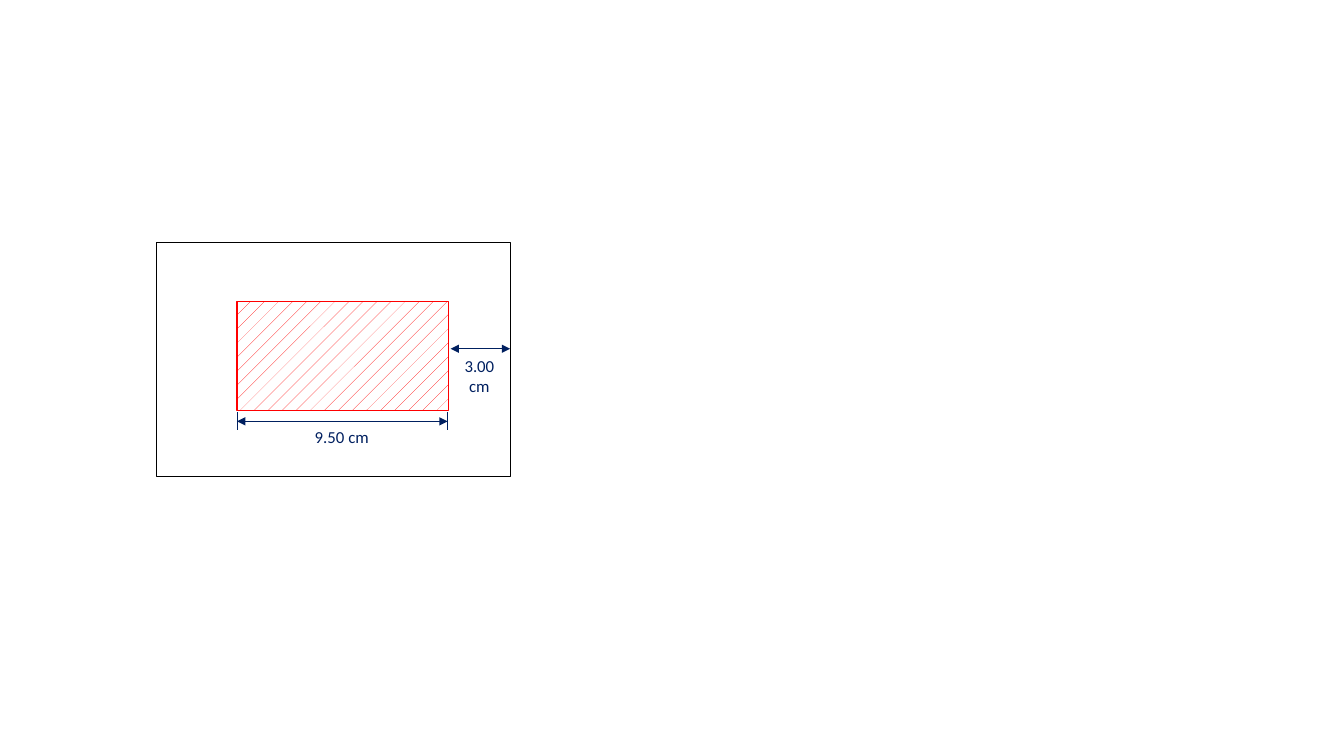
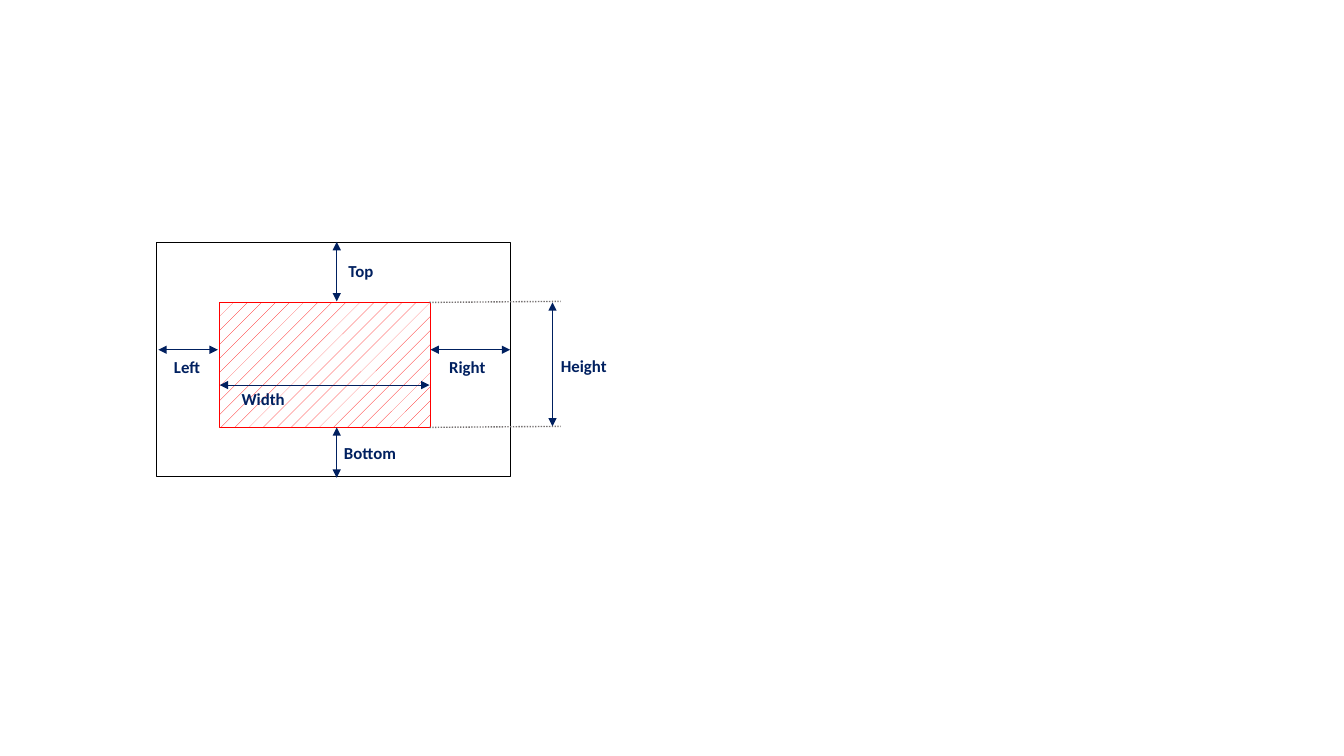
from dataclasses import dataclass

from lxml.etree import SubElement
from pptx import Presentation
from pptx.dml.color import RGBColor
from pptx.enum.dml import MSO_LINE_DASH_STYLE as Dash, MSO_PATTERN_TYPE as Pattern
from pptx.enum.shapes import MSO_CONNECTOR_TYPE as Connector, MSO_SHAPE as Shape
from pptx.enum.text import MSO_AUTO_SIZE as AutoSize, PP_ALIGN as Align
from pptx.oxml.ns import qn
from pptx.slide import Slide
from pptx.util import Inches, Pt

COLORS = {"frame": "000000", "area": "FF0000", "paper": "FFFFFF",
          "measure": "002060", "guide": "767171"}
FONT = "Calibri"
FONT_SIZE = 12


@dataclass(frozen=True)
class Rect:
    left: float
    top: float
    width: float
    height: float


@dataclass(frozen=True)
class Line:
    x1: float
    y1: float
    x2: float
    y2: float
    color: str = "measure"
    weight: float = 0.5
    arrows: bool = True
    dotted: bool = False


@dataclass(frozen=True)
class Label:
    text: str
    left: float
    top: float
    width: float = 0.76
    height: float = 0.3
    bold: bool = True


@dataclass(frozen=True)
class Diagram:
    area: Rect
    lines: list[Line]
    labels: list[Label]


def color(name: str) -> RGBColor:
    return RGBColor.from_string(COLORS[name])


def tick(x: float) -> Line:
    return Line(x, 4.09, x, 4.27, arrows=False)


def guide(y: float) -> Line:
    return Line(4.26, y, 5.56, y - 0.01, "guide", 1, arrows=False, dotted=True)


def draw_rect(page: Slide, rect: Rect, outline: str, weight: float, hatched: bool) -> None:
    box = page.shapes.add_shape(Shape.RECTANGLE, Inches(rect.left), Inches(rect.top),
                                Inches(rect.width), Inches(rect.height))
    box.shadow.inherit = False
    box.line.color.rgb = color(outline)
    box.line.width = Pt(weight)
    if hatched:
        box.fill.patterned()
        box.fill.pattern = Pattern.PERCENT_5
        box.fill.fore_color.rgb = color(outline)
        box.fill.back_color.rgb = color("paper")
    else:
        box.fill.background()


def draw_line(page: Slide, line: Line) -> None:
    connector = page.shapes.add_connector(Connector.STRAIGHT, Inches(line.x1), Inches(line.y1),
                                          Inches(line.x2), Inches(line.y2))
    connector.line.color.rgb = color(line.color)
    connector.line.width = Pt(line.weight)
    if line.dotted:
        connector.line.dash_style = Dash.ROUND_DOT
    properties = connector.element.spPr
    if line.arrows:
        outline = properties.find(qn("a:ln"))
        for end in ("a:headEnd", "a:tailEnd"):
            SubElement(outline, qn(end), type="triangle")
    SubElement(properties, qn("a:effectLst"))


def draw_label(page: Slide, label: Label) -> None:
    box = page.shapes.add_textbox(Inches(label.left), Inches(label.top),
                                  Inches(label.width), Inches(label.height))
    frame = box.text_frame
    frame.word_wrap = True
    frame.auto_size = AutoSize.SHAPE_TO_FIT_TEXT
    frame.text = label.text
    for para in frame.paragraphs:
        para.alignment = Align.CENTER
        for span in para.runs:
            span.font.name = FONT
            span.font.size = Pt(FONT_SIZE)
            span.font.bold = label.bold
            span.font.color.rgb = color("measure")


def draw_diagram(page: Slide, diagram: Diagram) -> None:
    draw_rect(page, FRAME, "frame", 0.75, hatched=False)
    draw_rect(page, diagram.area, "area", 1, hatched=True)
    for line in diagram.lines:
        draw_line(page, line)
    for label in diagram.labels:
        draw_label(page, label)


FRAME = Rect(1.55, 2.41, 3.51, 2.32)

DIAGRAMS = [
    Diagram(
        area=Rect(2.35, 2.99, 2.1, 1.08),
        lines=[
            Line(4.47, 3.46, 5.06, 3.46),
            Line(2.35, 4.18, 4.44, 4.18),
            tick(2.35),
            tick(4.44),
        ],
        labels=[
            Label("3.00\ncm", 4.45, 3.48, 0.61, 0.5, bold=False),
            Label("9.50 cm", 2.97, 4.18, 0.84, bold=False),
        ],
    ),
    Diagram(
        area=Rect(2.18, 3, 2.09, 1.24),
        lines=[
            Line(1.57, 3.47, 2.16, 3.47),
            Line(2.18, 3.82, 4.26, 3.82),
            Line(4.27, 3.47, 5.06, 3.47),
            Line(3.34, 2.4, 3.34, 2.99),
            Line(3.34, 4.24, 3.34, 4.74),
            Line(5.48, 3, 5.48, 4.23),
            guide(3),
            guide(4.24),
        ],
        labels=[
            Label("Left", 1.55, 3.49, 0.61),
            Label("Width", 2.23, 3.81),
            Label("Right", 4.33, 3.49, 0.61),
            Label("Bottom", 3.29, 4.34),
            Label("Top", 3.2, 2.54),
            Label("Height", 5.41, 3.48),
        ],
    ),
]

deck = Presentation()
deck.slide_width = Inches(13.33)
deck.slide_height = Inches(7.5)
blank_layout = deck.slide_layouts[6]
for diagram in DIAGRAMS:
    draw_diagram(deck.slides.add_slide(blank_layout), diagram)
deck.save("out.pptx")
